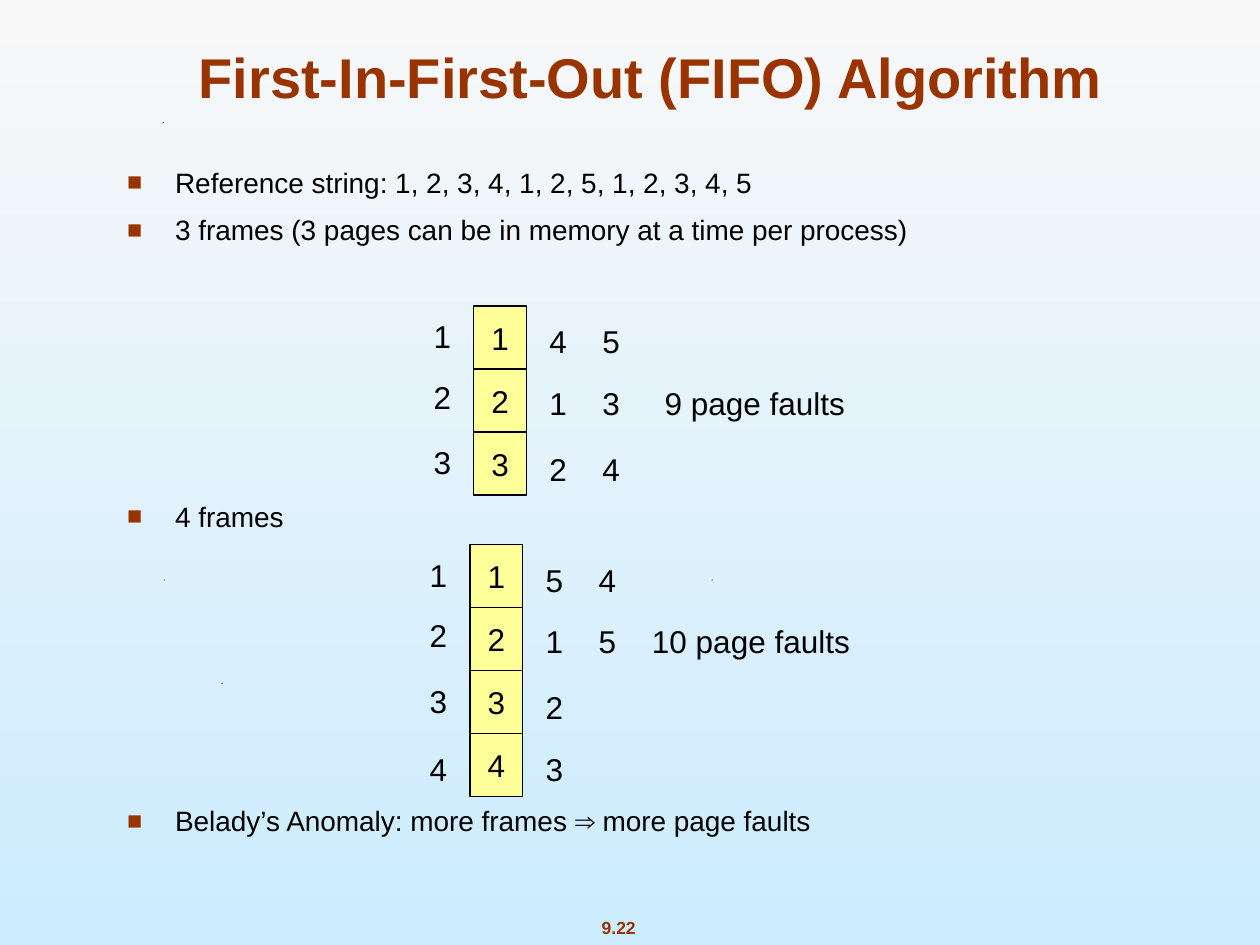
import pptx
import pptx.util
import pptx.dml.color
import pptx.enum.shapes
import pptx.enum.text
import lxml.etree
from pptx.oxml.ns import qn

Inches = pptx.util.Inches
Pt = pptx.util.Pt
Align = pptx.enum.text.PP_ALIGN
Anchor = pptx.enum.text.MSO_ANCHOR

COLORS = {
    "accent": "993300",
    "text": "000000",
    "frame": "FFFF99",
    "sky_top": "F8F8F8",
    "sky_bottom": "CCECFF",
}
FRAME_WIDTH, FRAME_HEIGHT = 0.42, 0.5
NUMBER_WIDTH, NUMBER_HEIGHT = 0.34, 0.4
PAGE_OFFSETS = (0.04, 0.52, 1.04, 1.58)
HISTORY_OFFSETS = (0.08, 0.57, 1.09, 1.58)


def rgb(name):
    return pptx.dml.color.RGBColor.from_string(COLORS[name])


def format_runs(paragraph, size, color="text", bold=False):
    for run in paragraph.runs:
        run.font.name = "Arial"
        run.font.size = Pt(size)
        run.font.bold = bold
        run.font.color.rgb = rgb(color)


def set_centered_text(shape, text, size, color="text", bold=False, anchor=Anchor.MIDDLE):
    text_frame = shape.text_frame
    text_frame.text = text
    text_frame.vertical_anchor = anchor
    text_frame.word_wrap = False
    paragraph = text_frame.paragraphs[0]
    paragraph.alignment = Align.CENTER
    format_runs(paragraph, size, color, bold)


def add_label(slide, left, top, width, text):
    label = slide.shapes.add_textbox(
        Inches(left), Inches(top), Inches(width), Inches(NUMBER_HEIGHT))
    set_centered_text(label, text, 18)


def place(shape, left, top, width, height):
    shape.left, shape.top = Inches(left), Inches(top)
    shape.width, shape.height = Inches(width), Inches(height)


def paint_background(slide):
    fill = slide.background.fill
    fill.gradient()
    fill.gradient_angle = 270
    for stop, name in zip(fill.gradient_stops, ("sky_top", "sky_bottom")):
        stop.color.rgb = rgb(name)


def add_specks(slide, points):
    """Scatter the tiny black triangles of the template."""
    for left, top in points:
        builder = slide.shapes.build_freeform(Inches(left), Inches(top + 0.01))
        builder.add_line_segments(
            [(Inches(left), Inches(top)), (Inches(left + 0.01), Inches(top))])
        speck = builder.convert_to_shape()
        speck.shadow.inherit = False
        speck.fill.solid()
        speck.fill.fore_color.rgb = rgb("text")
        speck.line.fill.background()


def add_page_number(slide, left, top, width, height):
    box = slide.shapes.add_textbox(
        Inches(left), Inches(top), Inches(width), Inches(height))
    set_centered_text(box, "9.22", 10, "accent", True, Anchor.TOP)


def fill_title(title, left, top, width, height):
    place(title, left, top, width, height)
    set_centered_text(title, "First-In-First-Out (FIFO) Algorithm", 32,
                      "accent", True, Anchor.BOTTOM)
    title.text_frame.word_wrap = True


def add_square_bullet(paragraph):
    properties = paragraph._p.get_or_add_pPr()
    properties.set("marL", str(Inches(0.38)))
    properties.set("indent", str(Inches(-0.38)))
    color = lxml.etree.SubElement(properties, qn("a:buClr"))
    lxml.etree.SubElement(color, qn("a:srgbClr"), val=COLORS["accent"])
    lxml.etree.SubElement(properties, qn("a:buSzPct"), val="90000")
    lxml.etree.SubElement(properties, qn("a:buFont"), typeface="Arial")
    lxml.etree.SubElement(properties, qn("a:buChar"), char="■")


def fill_body(body, left, top, width, height):
    """Write the bullets, leaving room for a frame diagram above the last two."""
    place(body, left, top, width, height)
    text_frame = body.text_frame
    text_frame.auto_size = pptx.enum.text.MSO_AUTO_SIZE.NONE
    bullets = (
        ("Reference string: 1, 2, 3, 4, 1, 2, 5, 1, 2, 3, 4, 5", 0),
        ("3 frames (3 pages can be in memory at a time per process)", 8),
        ("4 frames", 144.5),
        ("Belady’s Anomaly: more frames ⇒ more page faults", 155),
    )
    text_frame.text = "\n".join(text for text, _ in bullets)
    for paragraph, (_, gap) in zip(text_frame.paragraphs, bullets):
        paragraph.space_before = Pt(gap)
        add_square_bullet(paragraph)
        format_runs(paragraph, 16)


def add_frame_diagram(slide, left, top, histories, faults, faults_width):
    """Stack the frames at left, top, with one row of later pages for each."""
    rows = zip(histories, PAGE_OFFSETS, HISTORY_OFFSETS)
    for index, (history, page_offset, history_offset) in enumerate(rows):
        page = str(index + 1)
        frame = slide.shapes.add_shape(
            pptx.enum.shapes.MSO_SHAPE.RECTANGLE,
            Inches(left), Inches(top + index * FRAME_HEIGHT),
            Inches(FRAME_WIDTH), Inches(FRAME_HEIGHT))
        frame.shadow.inherit = False
        frame.fill.solid()
        frame.fill.fore_color.rgb = rgb("frame")
        frame.line.color.rgb = rgb("text")
        frame.line.width = Pt(0.75)
        set_centered_text(frame, page, 18)
        add_label(slide, left - FRAME_WIDTH, top + page_offset, NUMBER_WIDTH, page)
        for column, later_page in enumerate(history):
            add_label(slide, left + 0.5 + column * FRAME_WIDTH,
                      top + history_offset, NUMBER_WIDTH, later_page)
    add_label(slide, left + 2.23 - faults_width / 2, top + HISTORY_OFFSETS[1],
              faults_width, faults)


def main():
    presentation = pptx.Presentation()
    presentation.slide_width = Inches(10)
    presentation.slide_height = Inches(7.5)
    slide = presentation.slides.add_slide(presentation.slide_layouts[1])
    paint_background(slide)
    add_page_number(slide, 4.42, 7.23, 0.98, 0.27)
    add_specks(slide, ((1.76, 5.42), (1.3, 4.6), (5.65, 4.6), (1.29, 0.97)))
    fill_title(slide.shapes.title, 0.75, 0.25, 8.83, 0.67)
    fill_body(slide.placeholders[1], 0.91, 1.26, 7.69, 6.3)
    add_frame_diagram(slide, 3.76, 2.43, ("45", "13", "24"), "9 page faults", 1.63)
    add_frame_diagram(slide, 3.73, 4.32, ("54", "15", "2", "3"), "10 page faults", 1.77)
    presentation.save("out.pptx")


if __name__ == "__main__":
    main()
